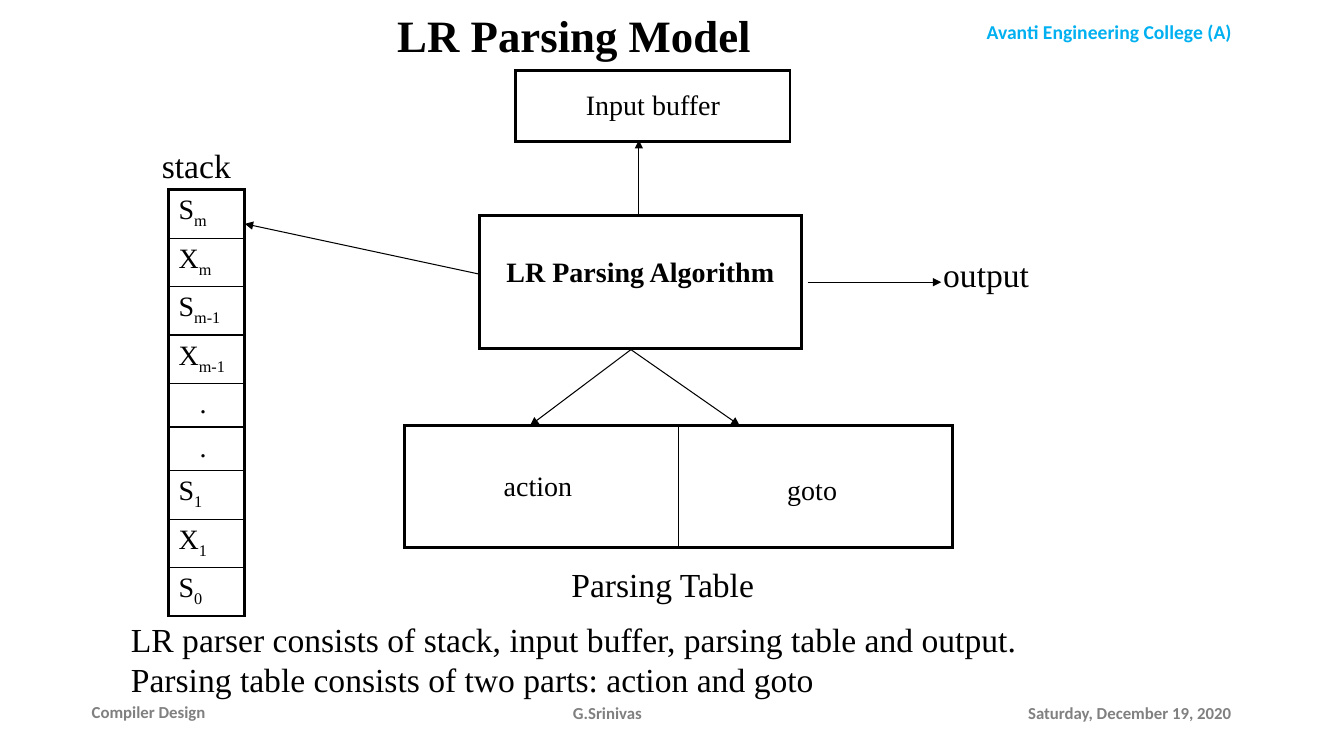
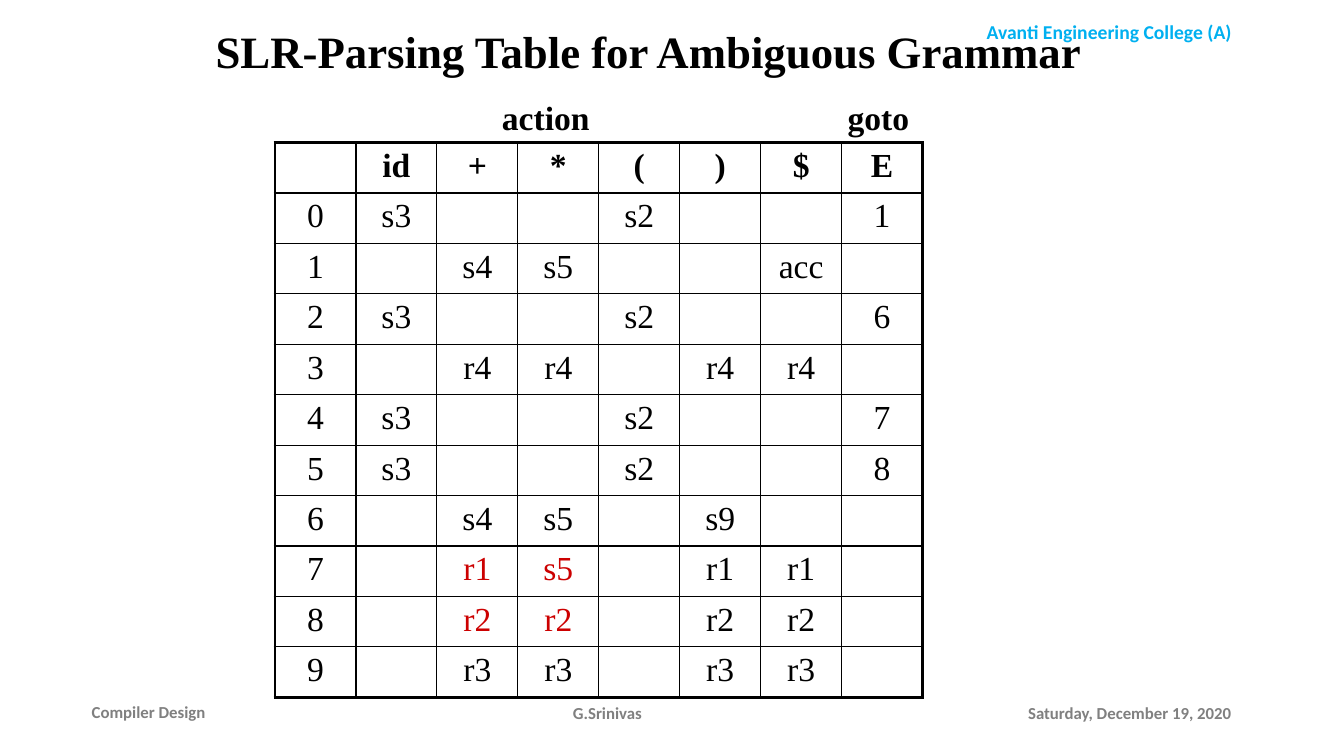
import pptx
import pptx.dml.color
import pptx.enum.shapes
import pptx.enum.text
import pptx.oxml
import pptx.oxml.ns
import pptx.util

Cm = pptx.util.Cm
ALIGN = pptx.enum.text.PP_ALIGN
ANCHOR = pptx.enum.text.MSO_ANCHOR

# Shared styles
BLACK, RED, GREY, BLUE = "000000", "CC0000", "808080", "00B0F0"
SERIF, SANS = "Times New Roman", "Calibri"
TITLE = {"name": SERIF, "size": 32, "bold": True, "color": BLACK}
BODY = {"name": SERIF, "size": 24, "bold": False, "color": BLACK}
BODY_BOLD = {**BODY, "bold": True}
SMALL = {**BODY, "size": 20}
HEADER = {"name": SANS, "size": 14, "bold": True, "color": BLUE}
FOOTER = {"name": SANS, "size": 12, "bold": True, "color": GREY}
OUTER, INNER, ARROW = 2.25, 1, 0.75
TITLE_SIZE = (26.04, 2.54)

# Text, place (left, top, width, height in cm), style, alignment, anchor
SHARED = [
    ("Avanti Engineering College (A)", (23.09, 0.38, 9.73, 0.86), HEADER, ALIGN.CENTER, ANCHOR.TOP),
    ("Compiler Design", (2.06, 17.43, 5.36, 1.02), FOOTER, ALIGN.LEFT, ANCHOR.MIDDLE),
    ("Saturday, December 19, 2020", (25.66, 17.46, 5.84, 1.02), FOOTER, ALIGN.LEFT, ANCHOR.MIDDLE),
    ("G.Srinivas", (11.5, 17.46, 7.62, 1.02), FOOTER, ALIGN.CENTER, ANCHOR.MIDDLE),
]

# Parsing model: each stack symbol with its subscript
STACK = [("S", "m"), ("X", "m"), ("S", "m-1"), ("X", "m-1"), (".", ""), (".", ""),
         ("S", "1"), ("X", "1"), ("S", "0")]
MODEL_LABELS = [
    ("stack", (3.83, 3.53, 2.26, 1.27)),
    ("output", (23.52, 6.27, 2.69, 1.27)),
    ("Parsing Table", (14.15, 14.08, 5.16, 1.27)),
]
MODEL_NOTES = [
    "LR parser consists of stack, input buffer, parsing table and output.",
    "Parsing table consists of two parts: action and goto",
]
MODEL_ARROWS = [
    ((12.09, 6.91), (6.17, 5.64)),
    ((15.9, 8.81), (13.36, 10.72)),
    ((15.9, 8.81), (18.64, 10.72)),
    ((16.1, 5.44), (16.1, 3.53)),
    ((20.35, 7.11), (23.72, 7.11)),
]

# SLR table
SLR_ROWS = [
    ("", "id", "+", "*", "(", ")", "$", "E"),
    ("0", "s3", "", "", "s2", "", "", "1"),
    ("1", "", "s4", "s5", "", "", "acc", ""),
    ("2", "s3", "", "", "s2", "", "", "6"),
    ("3", "", "r4", "r4", "", "r4", "r4", ""),
    ("4", "s3", "", "", "s2", "", "", "7"),
    ("5", "s3", "", "", "s2", "", "", "8"),
    ("6", "", "s4", "s5", "", "s9", "", ""),
    ("7", "", "r1", "s5", "", "r1", "r1", ""),
    ("8", "", "r2", "r2", "", "r2", "r2", ""),
    ("9", "", "r3", "r3", "", "r3", "r3", ""),
]
CONFLICTS = {(8, 2), (8, 3), (9, 2), (9, 3)}
SLR_LABELS = [("action", (12.4, 2.32, 2.74, 1.27)), ("goto", (21.11, 2.32, 2.08, 1.27))]


def rgb(value):
    return pptx.dml.color.RGBColor.from_string(value)


def add_span(para, text, style):
    span = para.add_run()
    span.text = text
    for name, value in style.items():
        if name == "color":
            span.font.color.rgb = rgb(value)
        else:
            setattr(span.font, name, pptx.util.Pt(value) if name == "size" else value)
    return span


def add_text(page, lines, place, style, align=ALIGN.LEFT, anchor=ANCHOR.TOP, wrap=True):
    frame = page.shapes.add_textbox(*map(Cm, place)).text_frame
    frame.word_wrap = wrap
    frame.vertical_anchor = anchor
    for number, line in enumerate(lines):
        para = frame.add_paragraph() if number else frame.paragraphs[0]
        para.alignment = align
        add_span(para, line, style)


def add_arrow(page, start, end):
    arrow = page.shapes.add_connector(
        pptx.enum.shapes.MSO_CONNECTOR.STRAIGHT, *map(Cm, start + end))
    arrow.line.color.rgb = rgb(BLACK)
    arrow.line.width = pptx.util.Pt(ARROW)
    line = arrow.line._get_or_add_ln()
    line.append(pptx.oxml.parse_xml(
        f'<a:tailEnd {pptx.oxml.ns.nsdecls("a")} type="triangle"/>'))
    arrow._element.spPr.append(pptx.oxml.parse_xml(
        f'<a:effectLst {pptx.oxml.ns.nsdecls("a")}/>'))


def set_borders(cell, widths):
    properties = cell._tc.get_or_add_tcPr()
    for side, width in zip("LRTB", widths):
        properties.append(pptx.oxml.parse_xml(
            f'<a:ln{side} {pptx.oxml.ns.nsdecls("a")} w="{pptx.util.Pt(width)}">'
            f'<a:solidFill><a:srgbClr val="{BLACK}"/></a:solidFill></a:ln{side}>'))


def add_grid(page, corner, widths, heights):
    """Add an unfilled table with a heavy outline and thin inner lines."""
    size = (sum(widths), sum(heights))
    grid = page.shapes.add_table(len(heights), len(widths), *map(Cm, corner + size)).table
    grid.first_row = grid.horz_banding = False
    for column, width in zip(grid.columns, widths):
        column.width = Cm(width)
    for row, height in zip(grid.rows, heights):
        row.height = Cm(height)
    last_row, last_column = len(heights) - 1, len(widths) - 1
    for r in range(len(heights)):
        for c in range(len(widths)):
            cell = grid.cell(r, c)
            edges = (c == 0, c == last_column, r == 0, r == last_row)
            set_borders(cell, [OUTER if edge else INNER for edge in edges])
            cell.fill.background()
    return grid


def fill_cell(cell, text, style, align=ALIGN.CENTER, anchor=ANCHOR.TOP, **margins):
    cell.vertical_anchor = anchor
    for side, margin in margins.items():
        setattr(cell, f"margin_{side}", Cm(margin))
    para = cell.text_frame.paragraphs[0]
    para.alignment = align
    add_span(para, text, style)
    return para


def add_page(deck, title, corner):
    page = deck.slides.add_slide(deck.slide_layouts[6])
    for text, place, style, align, anchor in SHARED:
        add_text(page, [text], place, style, align, anchor)
    add_text(page, [title], corner + TITLE_SIZE, TITLE, ALIGN.CENTER, ANCHOR.MIDDLE)
    return page


def build_model(deck):
    page = add_page(deck, "LR Parsing Model", (1.45, -0.41))

    # Stack
    heights = [1.22 if subscript else 1.1 for _, subscript in STACK]
    stack = add_grid(page, (4.25, 4.78), [1.91], heights)
    for row, (symbol, subscript) in enumerate(STACK):
        left = 0.25 if subscript else 0.78
        para = fill_cell(stack.cell(row, 0), symbol, SMALL, ALIGN.LEFT, left=left)
        if subscript:
            span = add_span(para, subscript, SMALL)
            span._r.get_or_add_rPr().set("baseline", "-25000")

    # Input buffer, algorithm and parsing table
    buffer = add_grid(page, (13, 1.78), [6.91], [1.78])
    fill_cell(buffer.cell(0, 0), "Input buffer", SMALL, anchor=ANCHOR.MIDDLE)
    algorithm = add_grid(page, (12.09, 5.43), [8.1], [3.35])
    fill_cell(algorithm.cell(0, 0), "LR Parsing Algorithm", {**SMALL, "bold": True}, top=1.06)
    parts = add_grid(page, (10.19, 10.72), [6.91] * 2, [3.08])
    for column, (part, top) in enumerate([("action", 0.13), ("goto", 0.33)]):
        fill_cell(parts.cell(0, column), part, SMALL, anchor=ANCHOR.MIDDLE, top=top, right=0.43)

    # Arrows, labels and notes
    for start, end in MODEL_ARROWS:
        add_arrow(page, start, end)
    for label, place in MODEL_LABELS:
        add_text(page, [label], place, BODY, wrap=False)
    add_text(page, MODEL_NOTES, (3.05, 15.47, 24, 2.31), BODY)


def build_slr_table(deck):
    page = add_page(deck, "SLR-Parsing Table for Ambiguous Grammar", (3.33, 0))
    grid = add_grid(page, (6.93, 3.59), [2.04] * len(SLR_ROWS[0]), [1.27] * len(SLR_ROWS))
    for r, row in enumerate(SLR_ROWS):
        for c, entry in enumerate(row):
            if entry:
                color = RED if (r, c) in CONFLICTS else BLACK
                fill_cell(grid.cell(r, c), entry, {**BODY, "bold": r == 0, "color": color})
    for label, place in SLR_LABELS:
        add_text(page, [label], place, BODY_BOLD, wrap=False)


def main():
    deck = pptx.Presentation()
    deck.slide_width, deck.slide_height = Cm(33.87), Cm(19.05)
    build_model(deck)
    build_slr_table(deck)
    deck.save("out.pptx")


if __name__ == "__main__":
    main()
